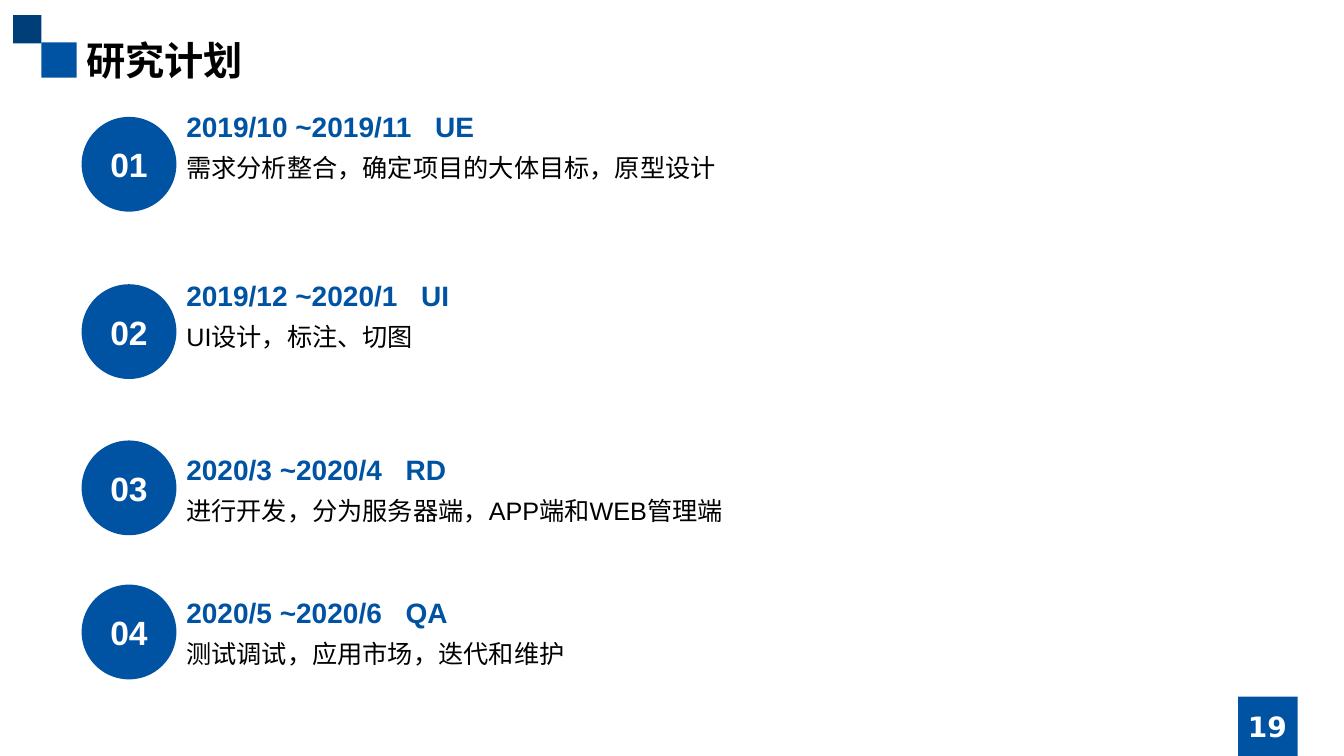
from dataclasses import dataclass

from lxml.etree import SubElement
from pptx import Presentation
from pptx.dml.color import RGBColor
from pptx.enum.shapes import MSO_SHAPE as Shape
from pptx.enum.text import MSO_ANCHOR as Anchor, MSO_AUTO_SIZE as AutoSize, PP_ALIGN as Align
from pptx.oxml.ns import qn
from pptx.shapes.autoshape import Shape as AutoShape
from pptx.shapes.shapetree import GroupShapes, SlideShapes
from pptx.text.text import _Paragraph as Paragraph
from pptx.util import Emu, Pt

EMU_PER_PX = 9144
BLUE, NAVY, WHITE, BLACK = "0053A3", "003E7A", "FFFFFF", "000000"
CJK_FONT = "Noto Sans CJK SC"
CIRCLE_LEFT, CIRCLE_SIZE = 81, 94
STAGE_LEFT, STAGE_WIDTH = 175, 1083
PERIOD_HEIGHT, TASK_OFFSET, TASK_HEIGHT = 44, 35, 48


@dataclass(frozen=True)
class Square:
    left: int
    top: int
    size: int
    color: str


@dataclass(frozen=True)
class Style:
    size: int
    font: str
    color: str
    bold: bool = False


@dataclass(frozen=True)
class Stage:
    circle_top: int
    text_top: int
    period: str
    role: str
    task: str


TITLE = Style(28, CJK_FONT, BLACK, True)
PAGE = Style(20, "DejaVu Sans", WHITE, True)
NUMBER = Style(24, "Arial", WHITE, True)
PERIOD = Style(20, "Arial", BLUE, True)
TASK = Style(18, "Arial", BLACK)

SQUARES = [
    Square(41, 42, 35, BLUE),
    Square(13, 15, 28, NAVY),
    Square(1228, 691, 59, BLUE),
]
STAGES = [
    Stage(116, 104, "2019/10 ~2019/11", "UE", "需求分析整合，确定项目的大体目标，原型设计"),
    Stage(282, 271, "2019/12 ~2020/1", "UI", "UI设计，标注、切图"),
    Stage(437, 444, "2020/3 ~2020/4", "RD", "进行开发，分为服务器端，APP端和WEB管理端"),
    Stage(580, 586, "2020/5 ~2020/6", "QA", "测试调试，应用市场，迭代和维护"),
]


def px(length: int) -> Emu:
    return Emu(length * EMU_PER_PX)


def rgb(color: str) -> RGBColor:
    return RGBColor.from_string(color)


def add_run(paragraph: Paragraph, text: str, style: Style, spacing: float = 0) -> None:
    run = paragraph.add_run()
    run.text = text
    run.font.size = Pt(style.size)
    run.font.name = style.font
    run.font.bold = style.bold
    run.font.color.rgb = rgb(style.color)
    properties = run.font._element
    SubElement(properties, qn("a:ea")).set("typeface", CJK_FONT)
    if spacing:
        properties.set("spc", str(round(spacing * 100)))


def add_solid(shapes: SlideShapes, kind: Shape, left: int, top: int, size: int, color: str) -> AutoShape:
    solid = shapes.add_shape(kind, px(left), px(top), px(size), px(size))
    solid.shadow.inherit = False
    solid.fill.solid()
    solid.fill.fore_color.rgb = rgb(color)
    solid.line.fill.background()
    return solid


def add_text(shapes: SlideShapes | GroupShapes, left: int, top: int, width: int, height: int) -> AutoShape:
    box = shapes.add_textbox(px(left), px(top), px(width), px(height))
    box.text_frame.word_wrap = True
    box.text_frame.auto_size = AutoSize.SHAPE_TO_FIT_TEXT
    return box


def write_centered(target: AutoShape, text: str, style: Style) -> None:
    frame = target.text_frame
    frame.auto_size = AutoSize.NONE
    frame.vertical_anchor = Anchor.MIDDLE
    frame.paragraphs[0].alignment = Align.CENTER
    add_run(frame.paragraphs[0], text, style)


def add_stage(shapes: SlideShapes, number: int, stage: Stage) -> None:
    circle = add_solid(shapes, Shape.OVAL, CIRCLE_LEFT, stage.circle_top, CIRCLE_SIZE, BLUE)
    write_centered(circle, f"{number:02}", NUMBER)

    group = shapes.add_group_shape()
    task = add_text(group.shapes, STAGE_LEFT, stage.text_top + TASK_OFFSET, STAGE_WIDTH, TASK_HEIGHT)
    task_line = task.text_frame.paragraphs[0]
    task_line.line_spacing = 1.25
    add_run(task_line, stage.task, TASK)

    period = add_text(group.shapes, STAGE_LEFT, stage.text_top, STAGE_WIDTH, PERIOD_HEIGHT)
    period_line = period.text_frame.paragraphs[0]
    add_run(period_line, stage.period, PERIOD)
    add_run(period_line, " ", PERIOD, spacing=11.1)
    add_run(period_line, stage.role, PERIOD)


def main() -> None:
    deck = Presentation()
    deck.slide_width, deck.slide_height = px(1333), px(750)
    slide = deck.slides.add_slide(deck.slide_layouts[6])
    shapes = slide.shapes

    for square in SQUARES:
        add_solid(shapes, Shape.RECTANGLE, square.left, square.top, square.size, square.color)

    title = add_text(shapes, 76, 31, 1181, 57)
    add_run(title.text_frame.paragraphs[0], "研究计划", TITLE)
    write_centered(add_text(shapes, 1181, 701, 152, 40), "19", PAGE)

    for number, stage in enumerate(STAGES, start=1):
        add_stage(shapes, number, stage)

    deck.save("out.pptx")


if __name__ == "__main__":
    main()
